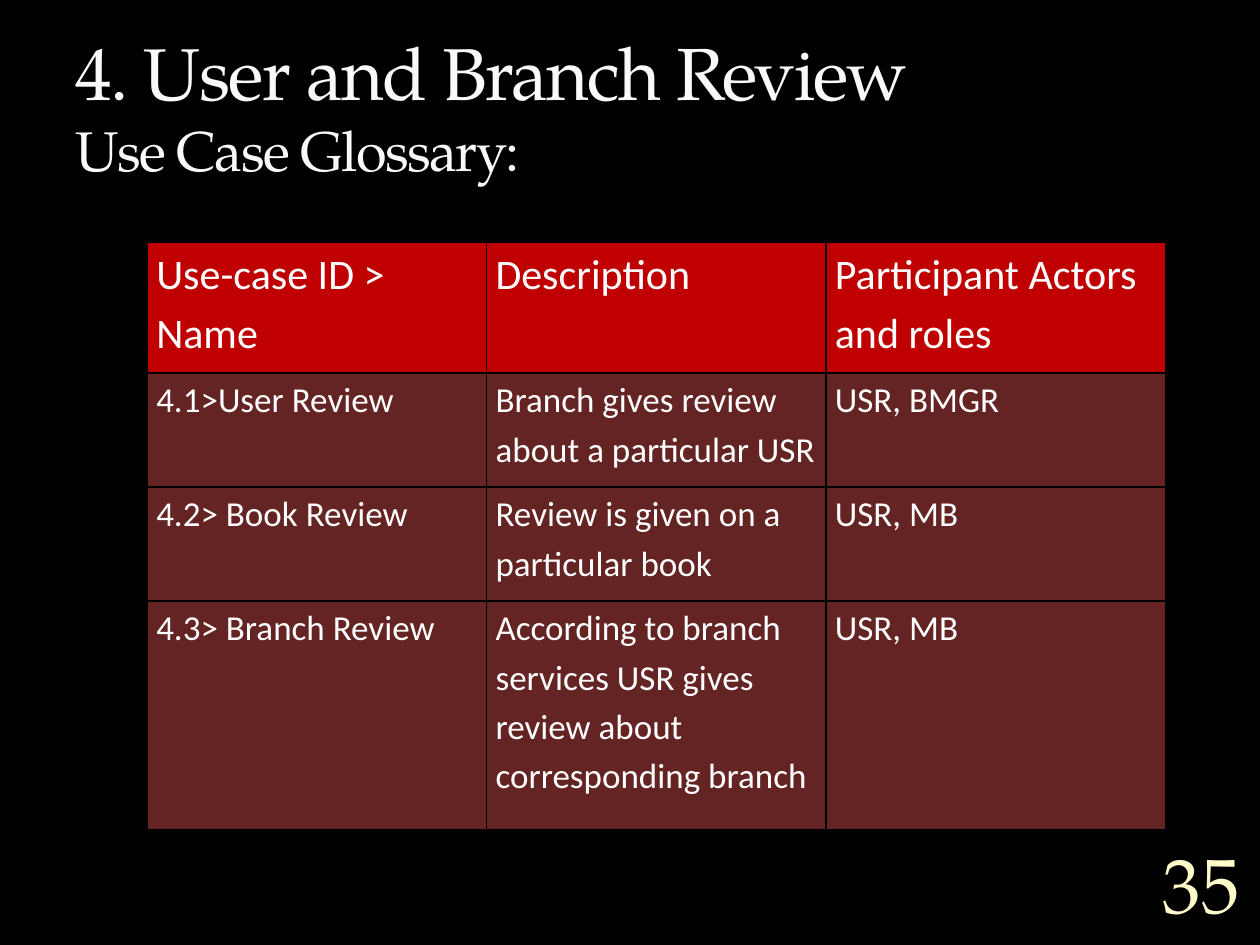
from dataclasses import dataclass

from lxml.etree import SubElement
from pptx import Presentation
from pptx.dml.color import RGBColor
from pptx.enum.text import MSO_ANCHOR, PP_ALIGN
from pptx.oxml.ns import qn
from pptx.util import Cm, Pt

COLORS = {
    "background": "000000",
    "border": "000000",
    "header": "C00000",
    "body": "632423",
    "cell_text": "FFFFFF",
    "title": "F9F9F9",
    "number": "FEFAC9",
}
HEADING_FONT = "TeX Gyre Pagella"
BODY_FONT = "Calibri"


@dataclass
class GlossaryRow:
    texts: tuple[str, str, str]
    height: float
    fill: str = "body"
    size: int = 20


ROWS = [
    GlossaryRow(("Use-case ID > Name", "Description", "Participant Actors and roles"),
                2.64, "header", 24),
    GlossaryRow(("4.1>User Review", "Branch gives review about a particular USR",
                 "USR, BMGR"), 2.3),
    GlossaryRow(("4.2> Book Review", "Review is given on a particular book",
                 "USR, MB"), 2.3),
    GlossaryRow(("4.3> Branch Review",
                 "According to branch services USR gives review about corresponding branch",
                 "USR, MB"), 4.6),
]


def color(name: str) -> RGBColor:
    return RGBColor.from_string(COLORS[name])


def set_font(font, name: str, size: int, fill: str) -> None:
    font.name = name
    font.size = Pt(size)
    font.color.rgb = color(fill)


def add_borders(cell) -> None:
    tc_pr = cell._tc.get_or_add_tcPr()
    for side in ("a:lnL", "a:lnR", "a:lnT", "a:lnB"):
        ln = SubElement(tc_pr, qn(side), w=str(Pt(1)))
        fill = SubElement(ln, qn("a:solidFill"))
        SubElement(fill, qn("a:srgbClr"), val=COLORS["border"])


def fill_cell(cell, text: str, row: GlossaryRow) -> None:
    add_borders(cell)
    cell.fill.solid()
    cell.fill.fore_color.rgb = color(row.fill)
    cell.margin_left = cell.margin_right = Cm(0.18)
    cell.margin_top = cell.margin_bottom = 0
    cell.text = text
    p = cell.text_frame.paragraphs[0]
    p.line_spacing = 1.15
    set_font(p.font, BODY_FONT, row.size, row.fill and "cell_text")


def add_glossary(s, rows: list[GlossaryRow]) -> None:
    height = sum(row.height for row in rows)
    table = s.shapes.add_table(len(rows), 3, Cm(2.97), Cm(4.88),
                               Cm(20.52), Cm(height)).table
    for i, row in enumerate(rows):
        table.rows[i].height = Cm(row.height)
        for j, text in enumerate(row.texts):
            fill_cell(table.cell(i, j), text, row)


def set_title(s) -> None:
    sp = s.shapes.title
    sp.left, sp.top, sp.width, sp.height = Cm(1.27), Cm(0.43), Cm(22.86), Cm(3.38)
    tf = sp.text_frame
    tf.vertical_anchor = MSO_ANCHOR.BOTTOM
    p = tf.paragraphs[0]
    p.alignment = PP_ALIGN.LEFT
    for i, (text, size) in enumerate((("4. User and Branch Review", 42),
                                      ("Use Case Glossary:", 32))):
        if i:
            p.add_line_break()
        r = p.add_run()
        r.text = text
        set_font(r.font, HEADING_FONT, size, "title")
        r._r.get_or_add_rPr().set("spc", "-100")


def add_number(s, text: str) -> None:
    tf = s.shapes.add_textbox(Cm(23.37), Cm(17.17), Cm(1.7), Cm(1.27)).text_frame
    tf.margin_left = tf.margin_right = tf.margin_top = tf.margin_bottom = 0
    tf.vertical_anchor = MSO_ANCHOR.MIDDLE
    tf.word_wrap = True
    tf.text = text
    p = tf.paragraphs[0]
    p.alignment = PP_ALIGN.CENTER
    set_font(p.font, HEADING_FONT, 44, "number")


def main() -> None:
    prs = Presentation()
    prs.slide_width, prs.slide_height = Cm(25.4), Cm(19.05)
    s = prs.slides.add_slide(prs.slide_layouts[5])
    s.background.fill.solid()
    s.background.fill.fore_color.rgb = color("background")
    set_title(s)
    add_glossary(s, ROWS)
    add_number(s, "35")
    prs.save("out.pptx")


if __name__ == "__main__":
    main()
